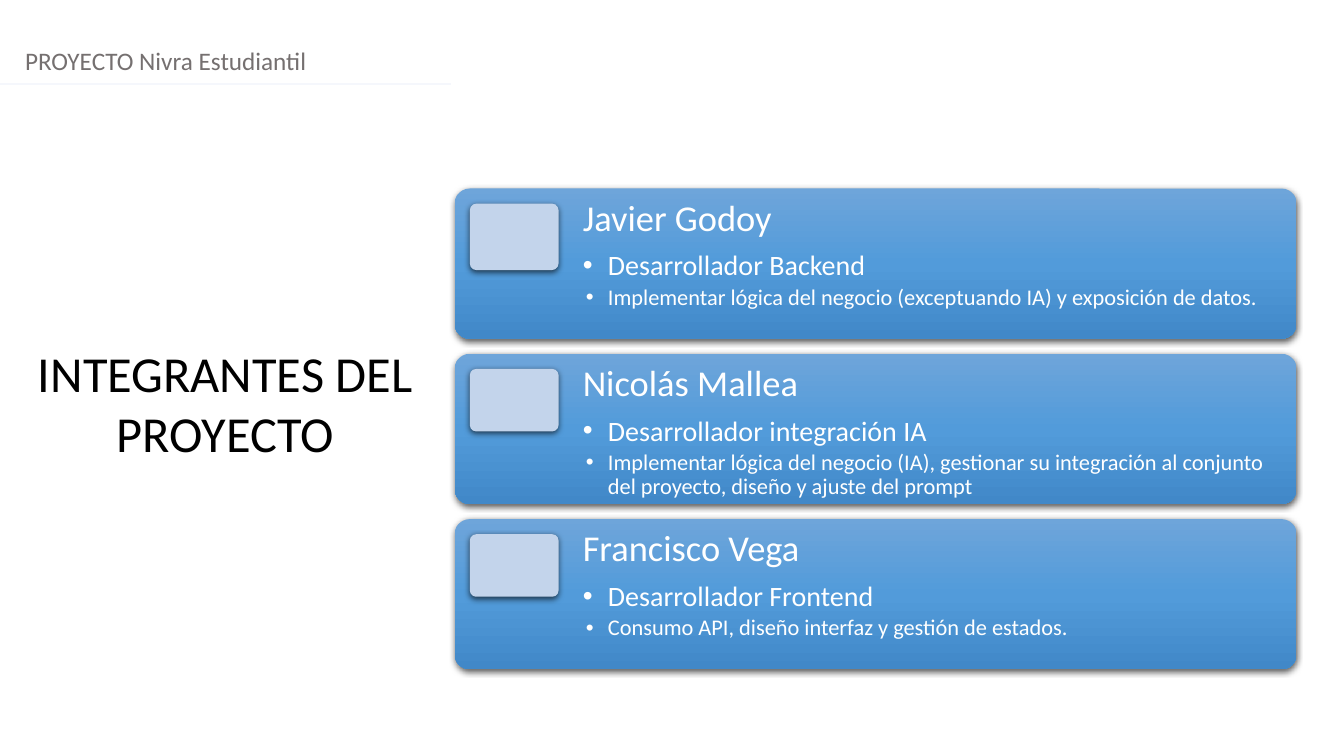
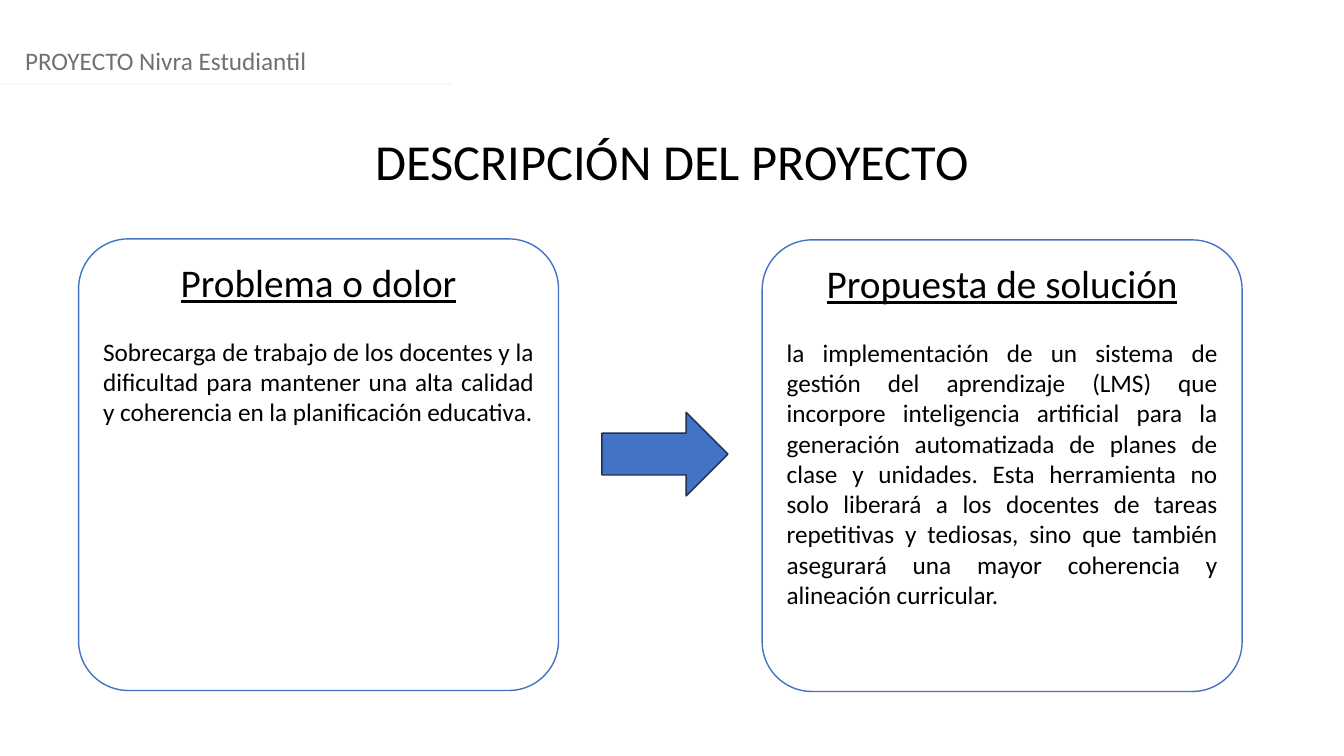
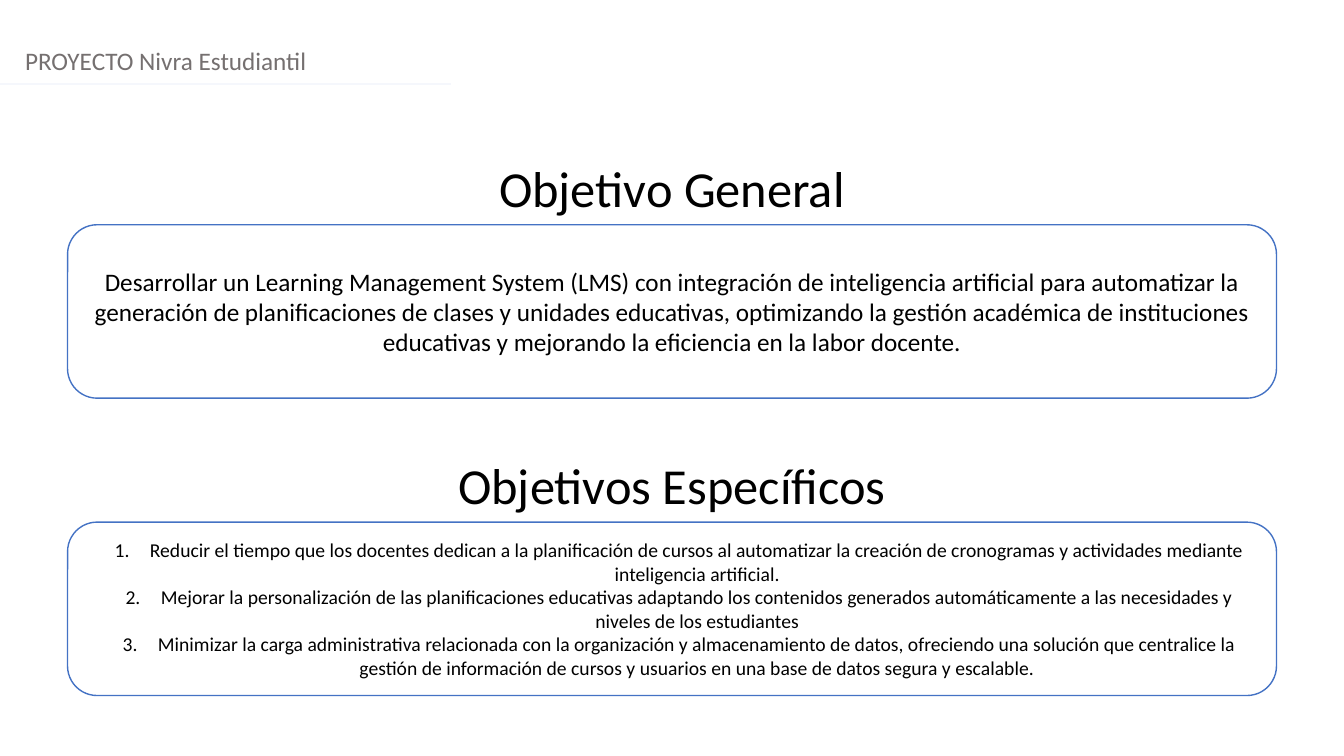
from copy import deepcopy

from lxml import etree
from pptx import Presentation
from pptx.dml.color import RGBColor
from pptx.enum.shapes import MSO_CONNECTOR, MSO_SHAPE as SHAPE
from pptx.enum.text import MSO_ANCHOR as ANCHOR, PP_ALIGN as ALIGN
from pptx.oxml import parse_xml
from pptx.oxml.ns import nsdecls, qn
from pptx.util import Pt

PX = 9144
FONT = "Calibri"
BLACK = RGBColor(0x00, 0x00, 0x00)
WHITE = RGBColor(0xFF, 0xFF, 0xFF)
GRAY = RGBColor(0x75, 0x70, 0x70)
RULE = RGBColor(0xF5, 0xF7, 0xFC)
BLUE = RGBColor(0x44, 0x72, 0xC4)
NAVY = RGBColor(0x1C, 0x30, 0x52)
PALE = RGBColor(0xC3, 0xD4, 0xEB)
CARD_COLORS = [
    RGBColor(0x6E, 0xA5, 0xDA),
    RGBColor(0x52, 0x9B, 0xDA),
    RGBColor(0x41, 0x88, 0xC8),
]
SHADOW = (
    f'<a:outerShdw {nsdecls("a")} blurRad="57150" dist="19050" dir="5400000" '
    'algn="ctr" rotWithShape="0"><a:srgbClr val="000000">'
    '<a:alpha val="63000"/></a:srgbClr></a:outerShdw>'
)


def place(page, kind, left, top, width, height, fill=None, line=None, adjust=None):
    area = [length * PX for length in (left, top, width, height)]
    if kind is None:
        box = page.shapes.add_textbox(*area)
    else:
        box = page.shapes.add_shape(kind, *area)
        box.shadow.inherit = False
        if adjust is not None:
            box.adjustments[0] = adjust
        if fill is not None:
            box.fill.solid()
            box.fill.fore_color.rgb = fill
        if line is None:
            box.line.fill.background()
        else:
            box.line.color.rgb = line
            box.line.width = Pt(1)
    frame = box.text_frame
    frame.word_wrap = True
    frame.vertical_anchor = ANCHOR.TOP
    return box


def write(para, text, size, color=BLACK, align=ALIGN.LEFT, spacing=None,
          before=0, bullet=None, margin=0, hang=0):
    para.text = text
    para.alignment = align
    para.space_before = Pt(before)
    if spacing:
        para.line_spacing = spacing
    font = para.runs[0].font
    font.name = FONT
    font.size = Pt(size)
    font.color.rgb = color
    if bullet:
        props = para._p.get_or_add_pPr()
        props.set("marL", str(margin * PX))
        props.set("indent", str(-hang * PX))
        tint = etree.SubElement(props, qn("a:buClr"))
        etree.SubElement(tint, qn("a:srgbClr"), val=str(color))
        if bullet == "•":
            etree.SubElement(props, qn("a:buFont"), typeface="Arial")
            etree.SubElement(props, qn("a:buChar"), char=bullet)
        else:
            etree.SubElement(props, qn("a:buFont"), typeface=FONT)
            etree.SubElement(props, qn("a:buAutoNum"), type=bullet)


deck = Presentation()
deck.slide_width = 1333 * PX
deck.slide_height = 750 * PX
pages = [deck.slides.add_slide(deck.slide_layouts[6]) for _ in range(3)]
team_page, description_page, goals_page = pages

for page in pages:
    header = place(page, None, 15, 40, 447, 40)
    write(header.text_frame.paragraphs[0], "PROYECTO Nivra Estudiantil", 18, GRAY)
    rule = page.shapes.add_connector(MSO_CONNECTOR.STRAIGHT, 0, 83 * PX, 447 * PX, 83 * PX)
    rule.line.color.rgb = RULE
    rule.line.width = Pt(1.25)
    etree.SubElement(rule._element.spPr, qn("a:effectLst"))

titles = [
    (team_page, "INTEGRANTES DEL PROYECTO", 26, 334, 395, 131),
    (description_page, "DESCRIPCIÓN DEL PROYECTO", 0, 124, 1333, 71),
    (goals_page, "Objetivo General", 0, 151, 1333, 71),
    (goals_page, "Objetivos Específicos", 0, 446, 1333, 71),
]
for page, text, *area in titles:
    title = place(page, None, *area)
    write(title.text_frame.paragraphs[0], text, 36, align=ALIGN.CENTER)

members = [
    ("Javier Godoy", "Desarrollador Backend",
     "Implementar lógica del negocio (exceptuando IA) y exposición de datos.", 66),
    ("Nicolás Mallea", "Desarrollador integración IA",
     "Implementar lógica del negocio (IA), gestionar su integración al conjunto del "
     "proyecto, diseño y ajuste del prompt", 62),
    ("Francisco Vega", "Desarrollador Frontend",
     "Consumo API, diseño interfaz y gestión de estados.", 62),
]
for index, (name, role, task, photo_height) in enumerate(members):
    top = 187 + 164 * index
    card = place(team_page, SHAPE.ROUNDED_RECTANGLE, 451, top, 835, 149, adjust=0.1)
    card.fill.gradient()
    card.fill.gradient_angle = 270
    stop_list = card._element.spPr.find(".//" + qn("a:gsLst"))
    stop_list.insert(1, deepcopy(stop_list[0]))
    for stop, color, position in zip(card.fill.gradient_stops, CARD_COLORS, (0, 0.5, 1)):
        stop.color.rgb = color
        stop.position = position
    photo = place(team_page, SHAPE.ROUNDED_RECTANGLE, 466, top + 15, 88, photo_height,
                  PALE, adjust=0.1)
    for shape in (card, photo):
        shape._element.spPr.find(qn("a:effectLst")).append(parse_xml(SHADOW))

    profile = place(team_page, None, 567, top, 718, 149)
    frame = profile.text_frame
    frame.margin_left = frame.margin_right = 11 * PX
    frame.margin_top = frame.margin_bottom = 11 * PX
    write(frame.paragraphs[0], name, 26, WHITE, spacing=0.9)
    write(frame.add_paragraph(), role, 20, WHITE, spacing=0.9, before=9.1,
          bullet="•", margin=25, hang=25)
    write(frame.add_paragraph(), task, 16, WHITE, spacing=0.9, before=3,
          bullet="•", margin=25, hang=22)

panels = [
    (78, 237, "Problema o dolor",
     "Sobrecarga de trabajo de los docentes y la dificultad para mantener una alta "
     "calidad y coherencia en la planificación educativa."),
    (756, 238, "Propuesta de solución",
     "la implementación de un sistema de gestión del aprendizaje (LMS) que incorpore "
     "inteligencia artificial para la generación automatizada de planes de clase y "
     "unidades. Esta herramienta no solo liberará a los docentes de tareas repetitivas "
     "y tediosas, sino que también asegurará una mayor coherencia y alineación curricular."),
]
for left, top, heading, body in panels:
    panel = place(description_page, SHAPE.ROUNDED_RECTANGLE, left, top, 476, 448,
                  WHITE, BLUE, 0.11)
    frame = panel.text_frame
    write(frame.paragraphs[0], heading, 28, align=ALIGN.CENTER)
    frame.paragraphs[0].runs[0].font.underline = True
    write(frame.add_paragraph(), body, 18, align=ALIGN.JUSTIFY, before=22)
place(description_page, SHAPE.RIGHT_ARROW, 597, 409, 125, 83, BLUE, NAVY)

general_goal = [
    "Desarrollar un Learning Management System (LMS) con integración de inteligencia "
    "artificial para automatizar la generación de planificaciones de clases y unidades "
    "educativas, optimizando la gestión académica de instituciones educativas y "
    "mejorando la eficiencia en la labor docente.",
]
specific_goals = [
    "Reducir el tiempo que los docentes dedican a la planificación de cursos al "
    "automatizar la creación de cronogramas y actividades mediante inteligencia artificial.",
    "Mejorar la personalización de las planificaciones educativas adaptando los contenidos "
    "generados automáticamente a las necesidades y niveles de los estudiantes",
    "Minimizar la carga administrativa relacionada con la organización y almacenamiento de "
    "datos, ofreciendo una solución que centralice la gestión de información de cursos y "
    "usuarios en una base de datos segura y escalable.",
]
goal_boxes = [(223, general_goal, 18, None), (518, specific_goals, 14, "arabicPeriod")]
for top, goals, size, bullet in goal_boxes:
    goal_box = place(goals_page, SHAPE.ROUNDED_RECTANGLE, 67, top, 1199, 172,
                     WHITE, BLUE, 0.17)
    frame = goal_box.text_frame
    frame.vertical_anchor = ANCHOR.MIDDLE
    for index, goal in enumerate(goals):
        para = frame.add_paragraph() if index else frame.paragraphs[0]
        write(para, goal, size, align=ALIGN.CENTER, bullet=bullet, margin=50, hang=35)

deck.save("out.pptx")
